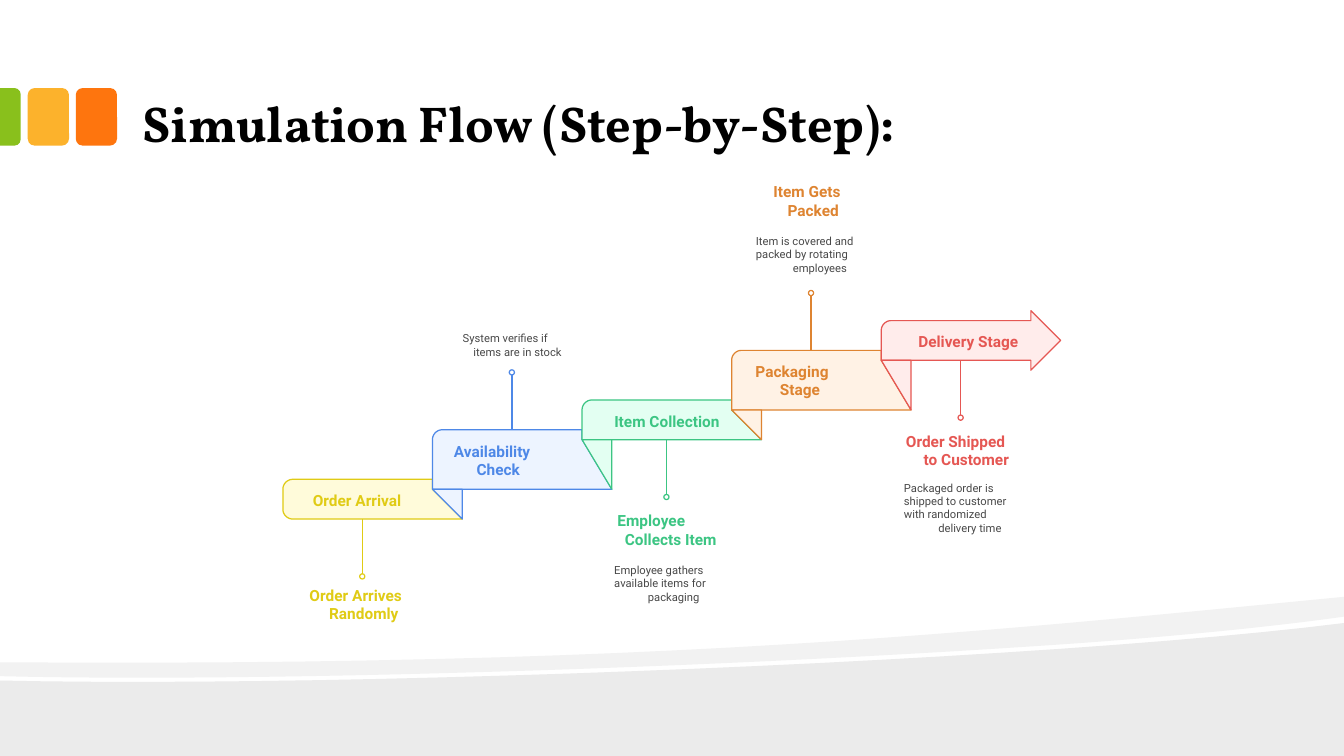
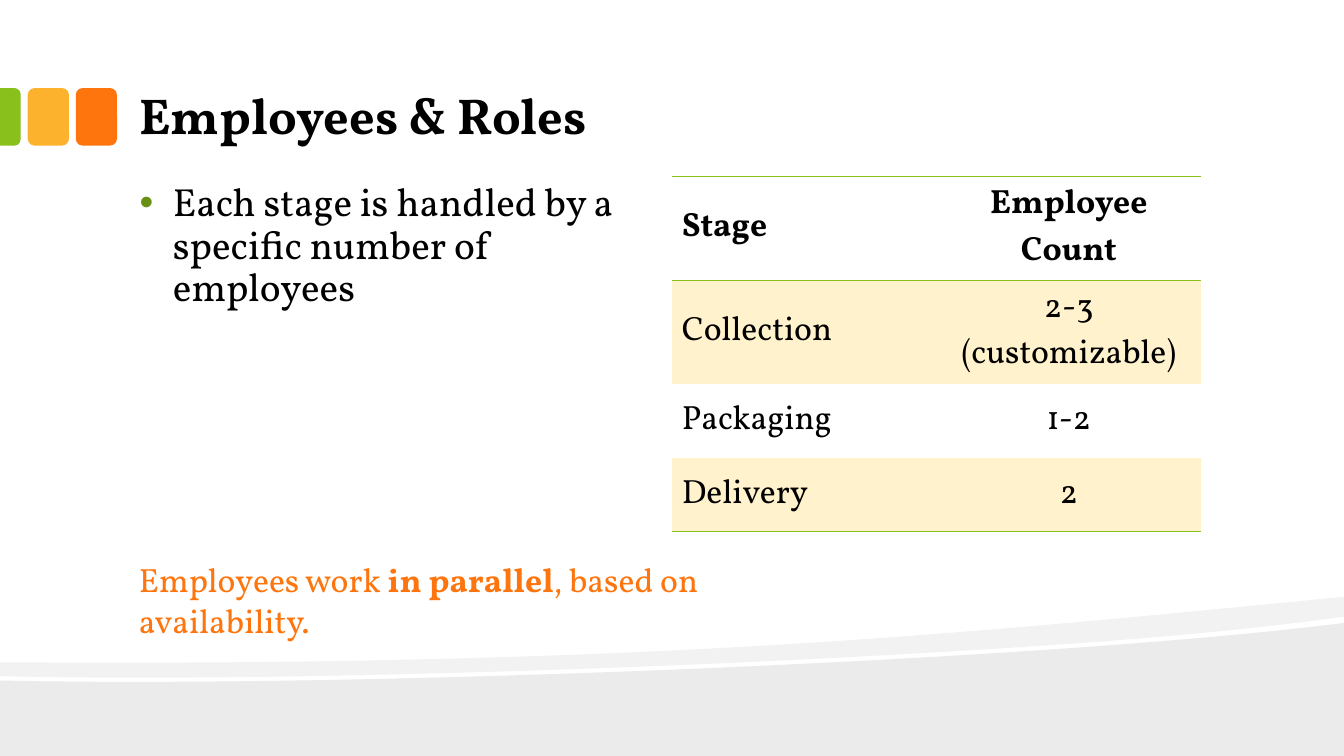
"""Build two slides on an order simulation: its flow and its staff."""
from lxml.etree import SubElement
from pptx import Presentation
from pptx.dml.color import RGBColor
from pptx.enum.shapes import MSO_CONNECTOR, MSO_SHAPE
from pptx.enum.text import MSO_ANCHOR, MSO_AUTO_SIZE, PP_ALIGN
from pptx.oxml import parse_xml
from pptx.oxml.ns import nsdecls, qn
from pptx.util import Cm, Pt

BLACK = RGBColor(0x00, 0x00, 0x00)
SLATE = RGBColor(0x48, 0x48, 0x48)
SHADE = RGBColor(0xEB, 0xEB, 0xEB)
MIST = RGBColor(0xF2, 0xF2, 0xF2)
CREAM = RGBColor(0xFF, 0xF2, 0xCC)
LIME = RGBColor(0x89, 0xC0, 0x1C)
MOSS = RGBColor(0x67, 0x90, 0x15)
AMBER = RGBColor(0xFC, 0xB2, 0x2C)
FLAME = RGBColor(0xFE, 0x75, 0x0E)
GOLD = RGBColor(0xE0, 0xCB, 0x15)
BLUE = RGBColor(0x4E, 0x88, 0xE7)
GREEN = RGBColor(0x3C, 0xC5, 0x83)
RUST = RGBColor(0xDE, 0x84, 0x31)
RED = RGBColor(0xE5, 0x57, 0x53)
PALE_GOLD = RGBColor(0xFF, 0xFB, 0xDA)
PALE_BLUE = RGBColor(0xED, 0xF4, 0xFF)
PALE_GREEN = RGBColor(0xE3, 0xFF, 0xF2)
PALE_RUST = RGBColor(0xFF, 0xF2, 0xE5)
PALE_RED = RGBColor(0xFF, 0xEC, 0xEB)
SERIF, SANS = "Vollkorn", "Roboto"
THIN = Pt(0.89)
WIDE, TALL = 33.87, 19.05


def write(frame, text, size, color=BLACK, font=SERIF, bold=False,
          align=PP_ALIGN.LEFT, lead=None, space=None, inset=None):
    """Fill a frame line by line; stars switch bold, lead aligns all but the last line."""
    frame.word_wrap = True
    frame.auto_size = MSO_AUTO_SIZE.NONE
    if inset:
        frame.margin_left = frame.margin_right = Cm(inset[0])
        frame.margin_top = frame.margin_bottom = Cm(inset[1])
    lines = text.split("\n")
    for row, line in enumerate(lines):
        para = frame.add_paragraph() if row else frame.paragraphs[0]
        last = row == len(lines) - 1
        para.alignment = align if last or lead is None else lead
        if space:
            para.line_spacing = space
        for turn, part in enumerate(line.split("*")):
            run = para.add_run()
            run.text = part
            run.font.name = font
            run.font.size = Pt(size)
            run.font.bold = bold or turn % 2 == 1
            run.font.color.rgb = color


def draw(slide, points, fill, line=None):
    """Draw a closed outline in cm; a point of six numbers is a cubic curve."""
    x, y = points[0]
    pen = slide.shapes.build_freeform(Cm(x), Cm(y))
    track = []
    for point in points[1:]:
        if len(point) == 2:
            track.append(point)
        else:
            ax, ay, bx, by, cx, cy = point
            for step in range(1, 25):
                t = step / 24
                s = 1 - t
                track.append((
                    s**3 * x + 3 * s * s * t * ax + 3 * s * t * t * bx + t**3 * cx,
                    s**3 * y + 3 * s * s * t * ay + 3 * s * t * t * by + t**3 * cy))
        x, y = track[-1]
    pen.add_line_segments([(Cm(a), Cm(b)) for a, b in track], close=True)
    shape = pen.convert_to_shape()
    shape.shadow.inherit = False
    shape.fill.solid()
    shape.fill.fore_color.rgb = fill
    if line is None:
        shape.line.fill.background()
    else:
        shape.line.color.rgb = line
        shape.line.width = THIN
    return shape


deck = Presentation()
deck.slide_width, deck.slide_height = Cm(WIDE), Cm(TALL)
layout = deck.slide_layouts[5]
for holder in list(layout.placeholders):
    if holder.placeholder_format.idx:
        layout.shapes.element.remove(holder.element)
flow = deck.slides.add_slide(layout)
staff = deck.slides.add_slide(layout)

decor = [
    draw(flow, [(WIDE, 15.7), (WIDE, TALL), (0, TALL), (0, 17.15),
                (8.94, 17.35, 26.47, 16.64, WIDE, 15.7)], SHADE),
    draw(flow, [(WIDE, 15.04), (WIDE, 15.54),
                (31.88, 15.82, 29.18, 16.08, 26.14, 16.28),
                (17.73, 16.84, 6.55, 17.2, 0, 17.04), (0, 16.69),
                (16.56, 16.81, 24.66, 15.93, WIDE, 15.04)], MIST),
]
for kind, left, top, wide, high, turn, color in [
        (MSO_SHAPE.ROUNDED_RECTANGLE, 1.91, 2.22, 1.04, 1.45, 0, FLAME),
        (MSO_SHAPE.ROUNDED_RECTANGLE, 0.7, 2.22, 1.04, 1.45, 0, AMBER),
        (MSO_SHAPE.ROUND_2_SAME_RECTANGLE, -0.47, 2.68, 1.45, 0.53, 90, LIME)]:
    tab = flow.shapes.add_shape(kind, Cm(left), Cm(top), Cm(wide), Cm(high))
    tab.rotation = turn
    tab.shadow.inherit = False
    tab.fill.solid()
    tab.fill.fore_color.rgb = color
    tab.line.fill.background()
    if turn:
        tab.adjustments[0] = 0.29
    decor.append(tab)
for shape in decor:
    layout.shapes.element.append(shape.element)

for slide, text, left, top in [
        (flow, "Simulation Flow (Step-by-Step):", 3.26, 0.41),
        (staff, "Employees & Roles", 3.18, 0.21)]:
    title = slide.shapes.title
    title.left, title.top, title.width, title.height = Cm(left), Cm(top), Cm(27.08), Cm(3.61)
    title.text_frame.vertical_anchor = MSO_ANCHOR.BOTTOM
    write(title.text_frame, text, 36, bold=True, inset=(0.33, 0.18))

UNIT, STEP, START, BASE = 0.25, 3.77, 7.13, 12.08
FOLD = 3 * UNIT
PIN, DOT = 1.38, 0.13
stages = [
    (GOLD, PALE_GOLD, 0, 4, 8, 1),
    (BLUE, PALE_BLUE, 5, 6, 8, -1),
    (GREEN, PALE_GREEN, 8, 4, 8.5, 1),
    (RUST, PALE_RUST, 13, 6, 8, -1),
    (RED, PALE_RED, 16, 4, 8, 1),
]
tops = [BASE - rise * UNIT for _, _, rise, _, _, _ in stages]
feet = [top + stage[3] * UNIT for top, stage in zip(tops, stages)]
for spot, (line, fill, _, _, shift, side) in enumerate(stages):
    left, top, foot = START + spot * STEP, tops[spot], feet[spot]
    right, curve = left + STEP, 0.45 * UNIT
    edge = [(left, top + UNIT),
            (left, top + curve, left + curve, top, left + UNIT, top), (right, top)]
    if spot < len(stages) - 1:
        edge += [(right, feet[spot + 1]), (right + FOLD, foot)]
    else:
        edge += [(right, top - UNIT), (right + FOLD, (top + foot) / 2),
                 (right, foot + UNIT), (right, foot)]
    if spot:
        edge.append((left, foot))
    else:
        edge += [(left + UNIT, foot),
                 (left + curve, foot, left, foot - curve, left, foot - UNIT)]
    draw(flow, edge, fill, line)
    if spot:
        draw(flow, [(left, foot), (left + FOLD, foot), (left + FOLD, feet[spot - 1])],
             fill, line)

    mid = left + shift * UNIT
    base = foot if side > 0 else top
    tip = base + side * PIN
    pin = flow.shapes.add_connector(MSO_CONNECTOR.STRAIGHT, Cm(mid), Cm(base), Cm(mid), Cm(tip))
    pin.line.color.rgb = line
    pin.line.width = THIN
    SubElement(pin.element.spPr, qn("a:effectLst"))
    dot = flow.shapes.add_shape(MSO_SHAPE.OVAL, Cm(mid - DOT / 2),
                                Cm(tip + (side - 1) * DOT / 2), Cm(DOT), Cm(DOT))
    dot.shadow.inherit = False
    dot.fill.background()
    dot.line.color.rgb = line
    dot.line.width = THIN

labels = [
    (7.68, 12.38, 2.64, "Order Arrival", GOLD),
    (11.44, 11.13, 2.24, "Availability\nCheck", BLUE),
    (15.26, 10.38, 3.1, "Item Collection", GREEN),
    (19.04, 9.12, 2.24, "Packaging\nStage", RUST),
    (22.88, 8.36, 3.05, "Delivery Stage", RED),
    (7.8, 14.76, 2.74, "Order Arrives\nRandomly", GOLD),
    (15.56, 12.89, 2.69, "Employee\nCollects Item", GREEN),
    (19.49, 4.6, 2.01, "Item Gets\nPacked", RUST),
    (22.83, 10.88, 3.05, "Order Shipped\nto Customer", RED),
    (11.66, 8.36, 2.77, "System verifies if\nitems are in stock", SLATE),
    (15.48, 14.19, 3, "Employee gathers\navailable items for\npackaging", SLATE),
    (19.05, 5.9, 3.23, "Item is covered and\npacked by rotating\nemployees", SLATE),
    (22.78, 12.12, 3.33,
     "Packaged order is\nshipped to customer\nwith randomized\ndelivery time", SLATE),
]
for left, top, wide, text, color in labels:
    note = color == SLATE
    high = (text.count("\n") + 1) * (0.35 if note else 0.5)
    box = flow.shapes.add_textbox(Cm(left), Cm(top), Cm(wide), Cm(high))
    write(box.text_frame, text, 8 if note else 11, color, SANS, bold=not note,
          align=PP_ALIGN.CENTER, lead=PP_ALIGN.LEFT, inset=(0, 0))

body = staff.shapes.add_textbox(Cm(3.19), Cm(4.43), Cm(13.54), Cm(9))
write(body.text_frame, "Each stage is handled by a specific number of employees", 28,
      space=0.9, inset=(0.33, 0.18))
props = body.element.xpath(".//a:pPr")[0]
props.set("marL", str(Cm(0.84)))
props.set("indent", str(Cm(-0.84)))
for mark in (f'<a:buClr {nsdecls("a")}><a:srgbClr val="{MOSS}"/></a:buClr>',
             f'<a:buFont {nsdecls("a")} typeface="Arial"/>',
             f'<a:buChar {nsdecls("a")} char="•"/>'):
    props.append(parse_xml(mark))

cells = [("Stage", "Employee Count"), ("Collection", "2-3 (customizable)"),
         ("Packaging", "1-2"), ("Delivery", "2")]
highs = [2.61, 2.61, 1.86, 1.86]
grid = staff.shapes.add_table(4, 2, Cm(16.93), Cm(4.45), Cm(13.34), Cm(sum(highs)))
grid.element.xpath(".//a:tableStyleId")[0].text = "{2D5ABB26-0587-4C30-8999-92F81FD0307C}"
for row, texts in enumerate(cells):
    grid.table.rows[row].height = Cm(highs[row])
    for col, text in enumerate(texts):
        cell = grid.table.cell(row, col)
        cell.vertical_anchor = MSO_ANCHOR.MIDDLE
        if row % 2:
            cell.fill.solid()
            cell.fill.fore_color.rgb = CREAM
        else:
            cell.fill.background()
        write(cell.text_frame, text, 24, bold=row == 0,
              align=PP_ALIGN.CENTER if col else PP_ALIGN.LEFT)
        props = grid.element.xpath(".//a:tcPr")[row * 2 + col]
        for side in {0: ("lnB", "lnT"), 3: ("lnB",)}.get(row, ()):
            props.insert(0, parse_xml(
                f'<a:{side} {nsdecls("a")} w="{Pt(1)}"><a:solidFill>'
                f'<a:srgbClr val="{LIME}"/></a:solidFill></a:{side}>'))

hint = staff.shapes.add_textbox(Cm(3.25), Cm(13.97), Cm(16.94), Cm(2.31))
write(hint.text_frame, "Employees work *in parallel*, based on availability.", 24, FLAME)

deck.save("out.pptx")
